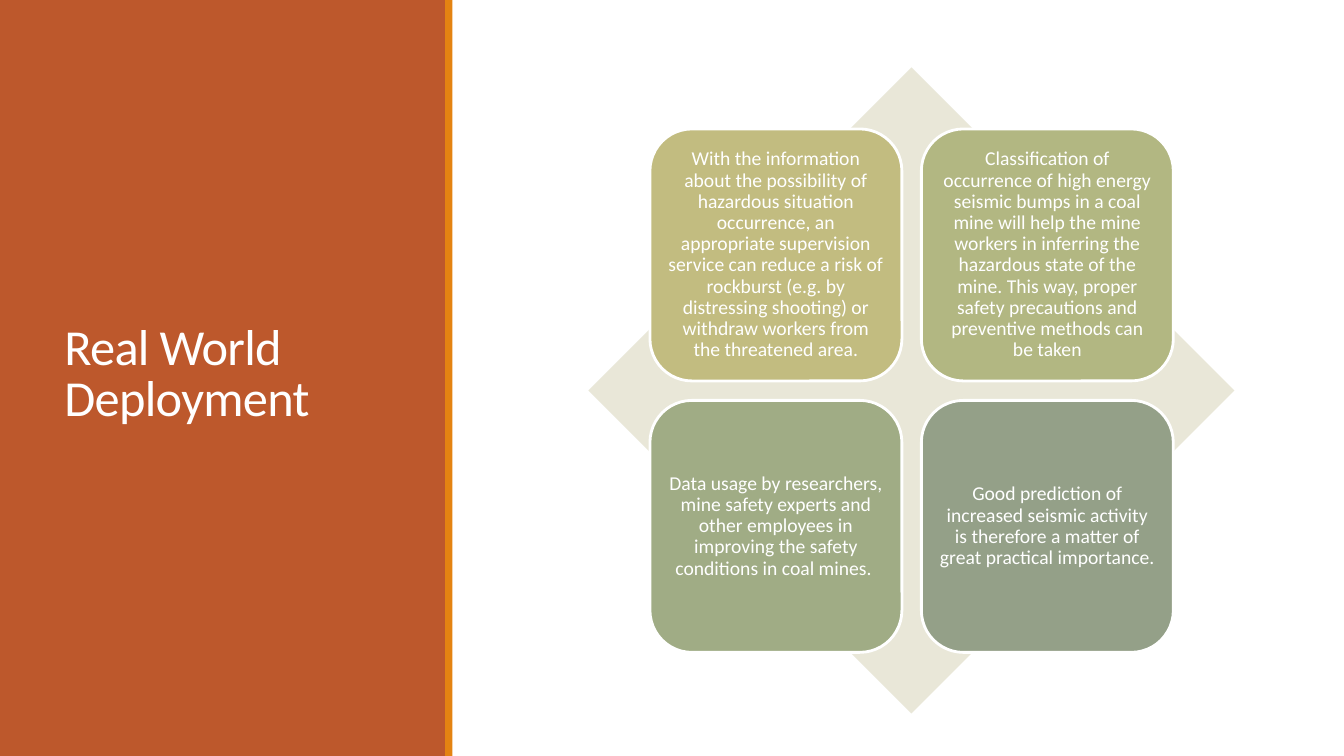
from dataclasses import dataclass

from pptx import Presentation
from pptx.dml.color import RGBColor
from pptx.enum.shapes import MSO_SHAPE
from pptx.enum.text import MSO_ANCHOR, MSO_AUTO_SIZE, PP_ALIGN
from pptx.util import Cm, Pt


@dataclass(frozen=True)
class Theme:
    font: str = "Calibri"
    white: str = "FFFFFF"
    panel: str = "BD582C"
    accent: str = "E48312"
    diamond: str = "E9E7D8"
    cards: tuple = ("C2BC80", "B2B782", "A0AC85", "94A088")
    title_size: int = 36
    card_size: int = 14


THEME = Theme()
SLIDE_WIDTH, SLIDE_HEIGHT = 33.87, 19.05
CARD_LEFT, CARD_TOP = 16.38, 3.25
CARD_SIZE, CARD_PITCH = 6.35, 6.84
CARD_TEXTS = (
    "With the information about the possibility of hazardous situation occurrence, "
    "an appropriate supervision service can reduce a risk of rockburst (e.g. by "
    "distressing shooting) or withdraw workers from the threatened area.",
    "Classification of occurrence of high energy seismic bumps in a coal mine will "
    "help the mine workers in inferring the hazardous state of the mine. This way, "
    "proper safety precautions and preventive methods can be taken",
    "Data usage by researchers, mine safety experts and other employees in "
    "improving the safety conditions in coal mines. ",
    "Good prediction of increased seismic activity is therefore a matter of great "
    "practical importance. ",
)


def add_block(page, kind, left, top, width, height, color):
    """Add a filled preset shape without outline or shadow; lengths in cm."""
    block = page.shapes.add_shape(kind, Cm(left), Cm(top), Cm(width), Cm(height))
    block.shadow.inherit = False
    block.fill.solid()
    block.fill.fore_color.rgb = RGBColor.from_string(color)
    block.line.fill.background()
    return block


def write_text(shape, text, size, alignment, line_spacing):
    frame = shape.text_frame
    frame.text = text
    frame.word_wrap = True
    frame.auto_size = MSO_AUTO_SIZE.NONE
    frame.vertical_anchor = MSO_ANCHOR.MIDDLE
    para = frame.paragraphs[0]
    para.alignment = alignment
    para.line_spacing = line_spacing
    para.font.name = THEME.font
    para.font.size = Pt(size)
    para.font.color.rgb = RGBColor.from_string(THEME.white)
    return frame


def add_side_panel(page):
    add_block(page, MSO_SHAPE.RECTANGLE, 0, 0, 11.25, SLIDE_HEIGHT, THEME.panel)
    add_block(page, MSO_SHAPE.RECTANGLE, 11.22, 0, 0.18, SLIDE_HEIGHT, THEME.accent)


def set_title(page, text):
    """Fill the title placeholder and bring it in front of the side panel."""
    title = page.shapes.title
    title.left, title.top = Cm(1.37), Cm(1.45)
    title.width, title.height = Cm(8.56), Cm(16.03)
    frame = write_text(title, text, THEME.title_size, PP_ALIGN.LEFT, 0.85)
    span = frame.paragraphs[0].runs[0]
    span.font._element.set("spc", "-50")
    title._element.getparent().append(title._element)


def add_card(page, index, text, color):
    row, column = divmod(index, 2)
    card = add_block(page, MSO_SHAPE.ROUNDED_RECTANGLE,
                     CARD_LEFT + column * CARD_PITCH, CARD_TOP + row * CARD_PITCH,
                     CARD_SIZE, CARD_SIZE, color)
    card.line.color.rgb = RGBColor.from_string(THEME.white)
    card.line.width = Pt(2)
    frame = write_text(card, text, THEME.card_size, PP_ALIGN.CENTER, 0.9)
    frame.margin_left = frame.margin_right = Cm(0.15)
    frame.margin_top = frame.margin_bottom = Cm(0.15)


def main():
    deck = Presentation()
    deck.slide_width, deck.slide_height = Cm(SLIDE_WIDTH), Cm(SLIDE_HEIGHT)
    page = deck.slides.add_slide(deck.slide_layouts.get_by_name("Title Only"))
    add_side_panel(page)
    set_title(page, "Real World Deployment")
    add_block(page, MSO_SHAPE.DIAMOND, 14.83, 1.7, 16.28, 16.28, THEME.diamond)
    for index, (text, color) in enumerate(zip(CARD_TEXTS, THEME.cards)):
        add_card(page, index, text, color)
    deck.save("out.pptx")


if __name__ == "__main__":
    main()
